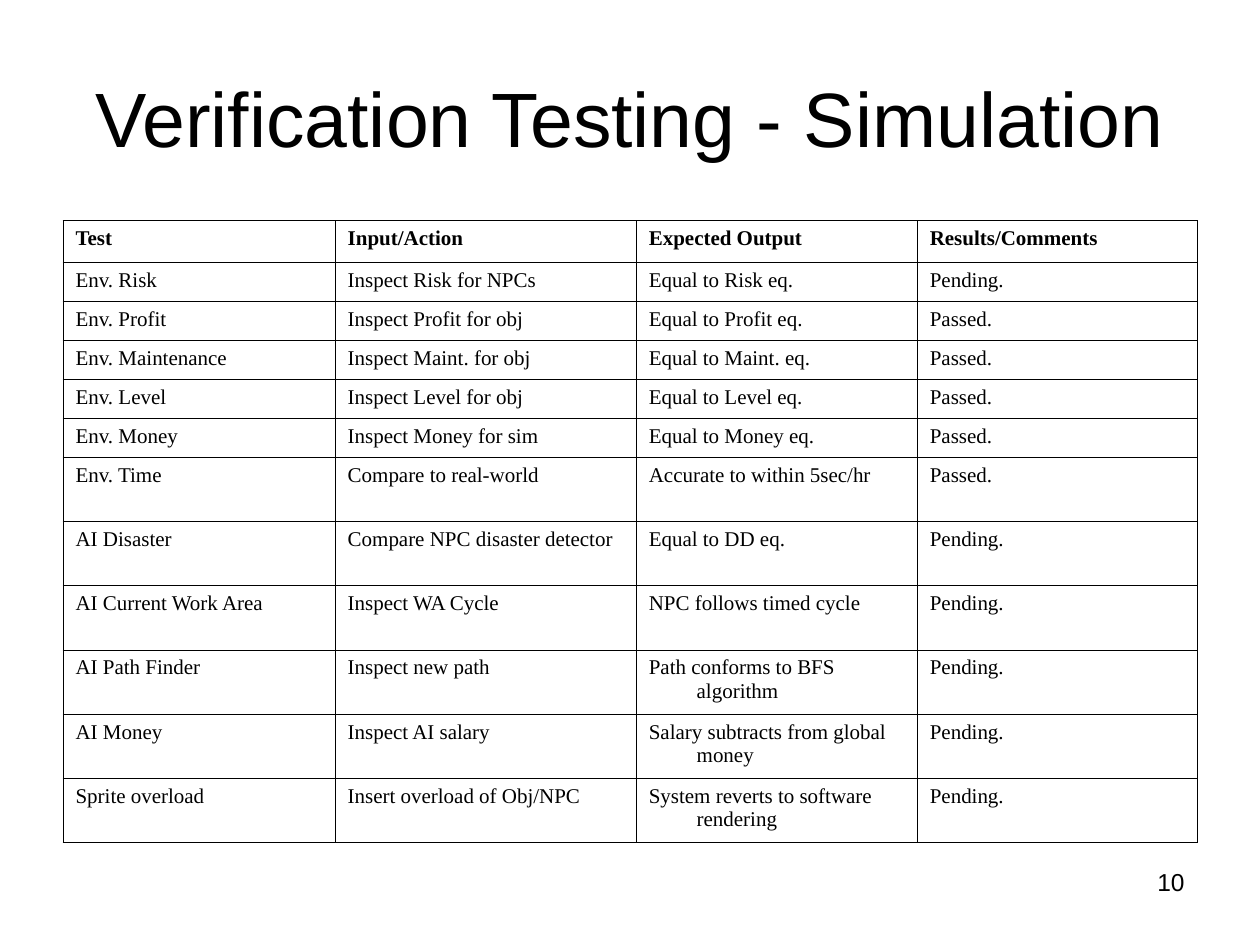
from collections import namedtuple

from lxml import etree
from pptx import Presentation
from pptx.dml.color import RGBColor
from pptx.enum.text import MSO_ANCHOR, PP_ALIGN
from pptx.oxml.ns import qn
from pptx.util import Inches, Pt

LEFT, CENTER, RIGHT = PP_ALIGN.LEFT, PP_ALIGN.CENTER, PP_ALIGN.RIGHT
TOP, MIDDLE = MSO_ANCHOR.TOP, MSO_ANCHOR.MIDDLE

COLORS = {"ink": "000000"}
TITLE_FONT = {"name": "Arial", "size": Pt(44), "bold": False}
HEADER_FONT = {"name": "Times New Roman", "size": Pt(12), "bold": True}
BODY_FONT = {**HEADER_FONT, "bold": False}
NUMBER_FONT = {"name": "Arial", "size": Pt(14), "bold": False}
INSETS = {
    "margin_left": Inches(0.1),
    "margin_top": Inches(0.05),
    "margin_right": Inches(0.1),
    "margin_bottom": Inches(0.05),
}
HANGING = Inches(0.38)
BORDER_WIDTH = Pt(0.45)

Box = namedtuple("Box", "left top width height")

COLUMN_WIDTHS = [2.16, 2.39, 2.23, 2.22]
ROW_HEIGHTS = [0.33] + [0.31] * 5 + [0.51] * 6
TESTS = [
    ("Test", "Input/Action", "Expected Output", "Results/Comments"),
    ("Env. Risk", "Inspect Risk for NPCs", "Equal to Risk eq.", "Pending."),
    ("Env. Profit", "Inspect Profit for obj", "Equal to Profit eq.", "Passed."),
    ("Env. Maintenance", "Inspect Maint. for obj", "Equal to Maint. eq.", "Passed."),
    ("Env. Level", "Inspect Level for obj", "Equal to Level eq.", "Passed."),
    ("Env. Money", "Inspect Money for sim", "Equal to Money eq.", "Passed."),
    ("Env. Time", "Compare to real-world", "Accurate to within 5sec/hr", "Passed."),
    ("AI Disaster", "Compare NPC disaster detector", "Equal to DD eq.", "Pending."),
    ("AI Current Work Area", "Inspect WA Cycle", "NPC follows timed cycle", "Pending."),
    ("AI Path Finder", "Inspect new path", "Path conforms to BFS algorithm", "Pending."),
    ("AI Money", "Inspect AI salary", "Salary subtracts from global money", "Pending."),
    ("Sprite overload", "Insert overload of Obj/NPC",
     "System reverts to software rendering", "Pending."),
]


def set_attributes(target, values):
    for name, value in values.items():
        setattr(target, name, value)


def write(frame, text, font, align):
    frame.word_wrap = True
    paragraph = frame.paragraphs[0]
    paragraph.alignment = align
    run = paragraph.add_run()
    run.text = text
    set_attributes(run.font, font)
    run.font.color.rgb = RGBColor.from_string(COLORS["ink"])
    return paragraph


def add_borders(cell):
    properties = cell._tc.get_or_add_tcPr()
    for position, side in enumerate(("lnL", "lnR", "lnT", "lnB")):
        line = etree.Element(qn(f"a:{side}"), w=str(BORDER_WIDTH))
        fill = etree.SubElement(line, qn("a:solidFill"))
        etree.SubElement(fill, qn("a:srgbClr"), val=COLORS["ink"])
        properties.insert(position, line)


def fill_cell(cell, text, font):
    set_attributes(cell, INSETS)
    cell.vertical_anchor = TOP
    cell.fill.background()
    add_borders(cell)
    paragraph = write(cell.text_frame, text, font, LEFT)
    indents = paragraph._p.get_or_add_pPr()
    indents.set("marL", str(HANGING))
    indents.set("indent", str(-HANGING))


def place_title(slide, box):
    title = slide.shapes.title
    set_attributes(title, box._asdict())
    frame = title.text_frame
    set_attributes(frame, {**INSETS, "vertical_anchor": MIDDLE})
    write(frame, "Verification Testing - Simulation", TITLE_FONT, CENTER)


def add_test_table(slide, box):
    table = slide.shapes.add_table(len(TESTS), len(COLUMN_WIDTHS), *box).table
    table.first_row = table.horz_banding = False
    for column, width in zip(table.columns, COLUMN_WIDTHS):
        column.width = Inches(width)
    for row, height, texts in zip(table.rows, ROW_HEIGHTS, TESTS):
        row.height = Inches(height)
        font = HEADER_FONT if texts is TESTS[0] else BODY_FONT
        for cell, text in zip(row.cells, texts):
            fill_cell(cell, text, font)


def add_page_number(slide, box):
    frame = slide.shapes.add_textbox(*box).text_frame
    set_attributes(frame, INSETS)
    write(frame, "10", NUMBER_FONT, RIGHT)


def main():
    deck = Presentation()
    deck.slide_width, deck.slide_height = Inches(10), Inches(7.5)
    slide = deck.slides.add_slide(deck.slide_layouts[5])
    place_title(slide, Box(Inches(0.5), Inches(0.3), Inches(9), Inches(1.25)))
    add_test_table(slide, Box(Inches(0.5), Inches(1.75), Inches(9), Inches(4.95)))
    add_page_number(slide, Box(Inches(7.17), Inches(6.83), Inches(2.33), Inches(0.52)))
    deck.save("out.pptx")


if __name__ == "__main__":
    main()
